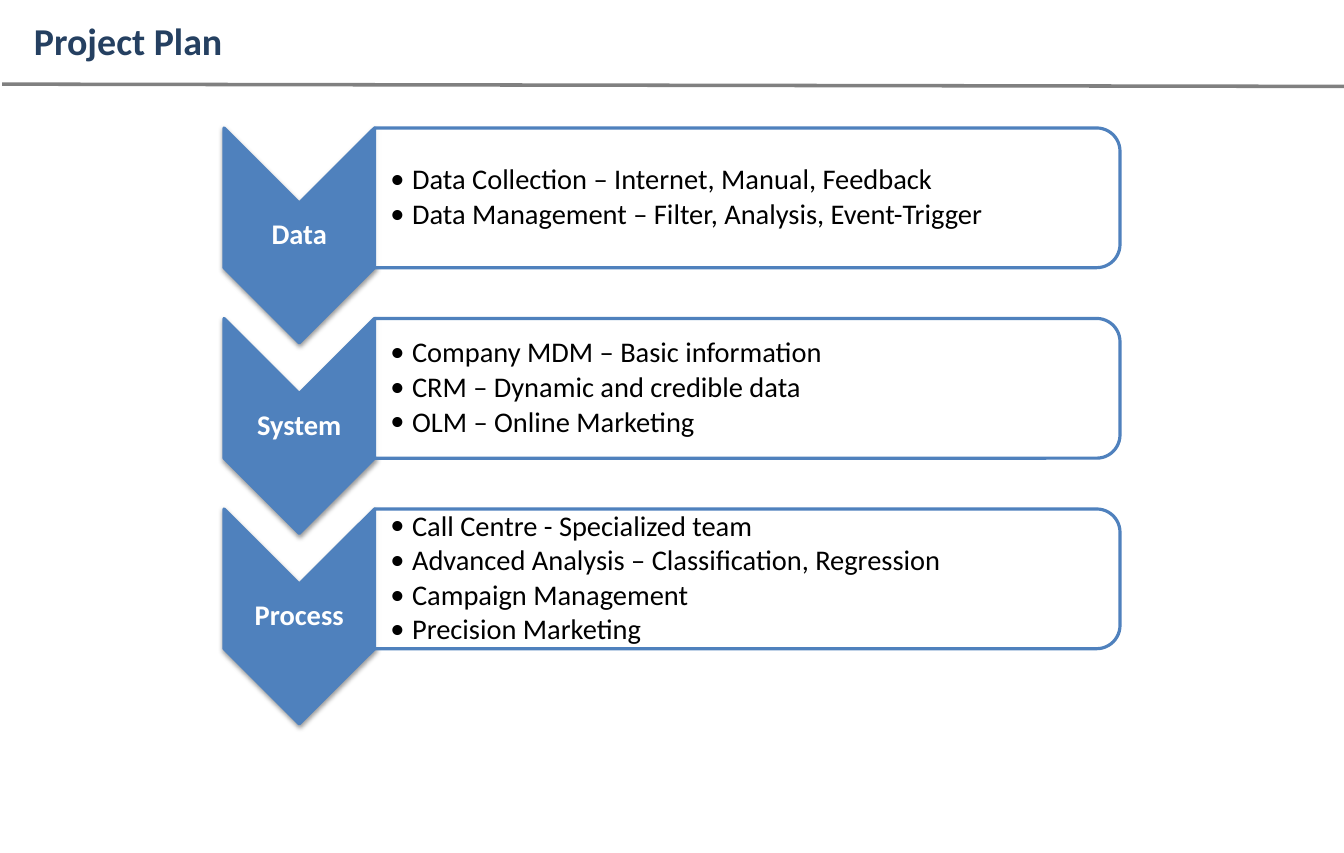
from lxml import etree
from pptx import Presentation
from pptx.dml.color import RGBColor
from pptx.enum.shapes import MSO_CONNECTOR, MSO_SHAPE
from pptx.enum.text import MSO_ANCHOR, PP_ALIGN
from pptx.oxml.ns import qn
from pptx.util import Cm, Inches, Pt

LINE = MSO_CONNECTOR.STRAIGHT
CHEVRON, PANEL = MSO_SHAPE.CHEVRON, MSO_SHAPE.ROUND_2_SAME_RECTANGLE
TOP, MIDDLE = MSO_ANCHOR.TOP, MSO_ANCHOR.MIDDLE
LEFT, CENTER = PP_ALIGN.LEFT, PP_ALIGN.CENTER

WIDE, HIGH = Cm(30).inches, 7.5
FONT = "Calibri"
COLORS = {"title": "254061", "rule": "808080", "blue": "4F81BD",
          "white": "FFFFFF", "black": "000000"}
STAGES = [
    ("Data", ["Data Collection – Internet, Manual, Feedback",
              "Data Management – Filter, Analysis, Event-Trigger"]),
    ("System", ["Company MDM – Basic information",
                "CRM – Dynamic and credible data",
                "OLM – Online Marketing"]),
    ("Process", ["Call Centre - Specialized team",
                 "Advanced Analysis – Classification, Regression",
                 "Campaign Management",
                 "Precision Marketing"]),
]


def color(name):
    return RGBColor.from_string(COLORS[name])


def add_node(parent, tag, **attrs):
    node = etree.SubElement(parent, qn(tag))
    for key, value in attrs.items():
        node.set(key, str(value))
    return node


def add_text(slide, box, lines, size, tint, bold=False, align=LEFT,
             anchor=MIDDLE, inset=(0.01, 0.01), spacing=0.9):
    """Place a text box; inset is (left, other sides) in inches."""
    frame = slide.shapes.add_textbox(*map(Inches, box)).text_frame
    frame.word_wrap = True
    frame.vertical_anchor = anchor
    frame.margin_left = Inches(inset[0])
    frame.margin_top = frame.margin_right = frame.margin_bottom = Inches(inset[1])
    frame.text = "\n".join(lines)
    for para in frame.paragraphs:
        para.alignment = align
        para.line_spacing = spacing
        font = para.runs[0].font
        font.name, font.size, font.bold = FONT, Pt(size), bold
        font.color.rgb = color(tint)
    return frame


def add_bullets(frame):
    for para in frame.paragraphs:
        para.space_after = Pt(2.5)
        props = para._p.get_or_add_pPr()
        props.set("marL", str(Inches(0.19)))
        props.set("indent", str(Inches(-0.19)))
        add_node(props, "a:buFont", typeface=FONT)
        add_node(props, "a:buChar", char="•")


def add_turned(slide, kind, box, fill):
    """Add a shape turned by 90 degrees that covers the given box."""
    x, y, w, h = box
    shape = slide.shapes.add_shape(
        kind, Inches(x + (w - h) / 2), Inches(y + (h - w) / 2), Inches(h), Inches(w))
    shape.rotation = 90
    shape.shadow.inherit = False
    shape.fill.solid()
    shape.fill.fore_color.rgb = color(fill)
    shape.line.color.rgb = color("blue")
    shape.line.width = Pt(2)
    return shape


def add_shadow(shape):
    effects = shape._element.spPr.find(qn("a:effectLst"))
    outer = add_node(effects, "a:outerShdw", blurRad=Pt(3.1), dist=Pt(1.6),
                     dir=90 * 60000, rotWithShape=0)
    tone = add_node(outer, "a:srgbClr", val=COLORS["black"])
    add_node(tone, "a:alpha", val=38000)


def add_header(slide, box):
    x, y, w, h = box
    add_text(slide, (x + 0.2, y + 0.11, w * 0.86, 0.5), ["Project Plan"], 24, "title",
             bold=True, anchor=TOP, inset=(0.1, 0.05), spacing=1)
    rule = slide.shapes.add_connector(
        LINE, Inches(x + 0.02), Inches(y + h - 0.02), Inches(x + w + 0.03), Inches(y + h))
    rule.line.color.rgb = color("rule")
    rule.line.width = Pt(2.25)
    add_node(rule._element.spPr, "a:effectLst")


def add_stage(slide, box, label, points):
    """Draw a down-pointing chevron with its bullet panel on the right."""
    x, y, w, h = box
    arrow = w * 0.168
    tip = arrow / 2
    body = h - tip
    chevron = add_turned(slide, CHEVRON, (x, y, arrow, h), "blue")
    add_shadow(chevron)
    add_text(slide, (x, y + tip, arrow, h - 2 * tip), [label], 18, "white",
             bold=True, align=CENTER)
    panel = add_turned(slide, PANEL, (x + arrow, y, w - arrow, body), "white")
    tone = panel._element.spPr.find(qn("a:solidFill"))[0]
    add_node(tone, "a:alpha", val=90000)
    pad = 0.06
    frame = add_text(slide, (x + arrow, y + pad, w - arrow - pad, body - 2 * pad),
                     points, 18, "black", inset=(0.14, 0.01))
    add_bullets(frame)


def add_plan(slide, box):
    """Stack the stages; each chevron's tip dips into the notch below."""
    x, y, w, h = box
    tall = 1.89
    pitch = (h - tall) / (len(STAGES) - 1)
    for row, (label, points) in enumerate(STAGES):
        add_stage(slide, (x, y + row * pitch, w, tall), label, points)


def main():
    deck = Presentation()
    deck.slide_width = Inches(WIDE)
    deck.slide_height = Inches(HIGH)
    slide = deck.slides.add_slide(deck.slide_layouts[6])
    add_header(slide, (0, 0, WIDE, 0.76))
    add_plan(slide, (WIDE / 6, HIGH * 0.15, WIDE * 2 / 3, 5.24))
    deck.save("out.pptx")


if __name__ == "__main__":
    main()
